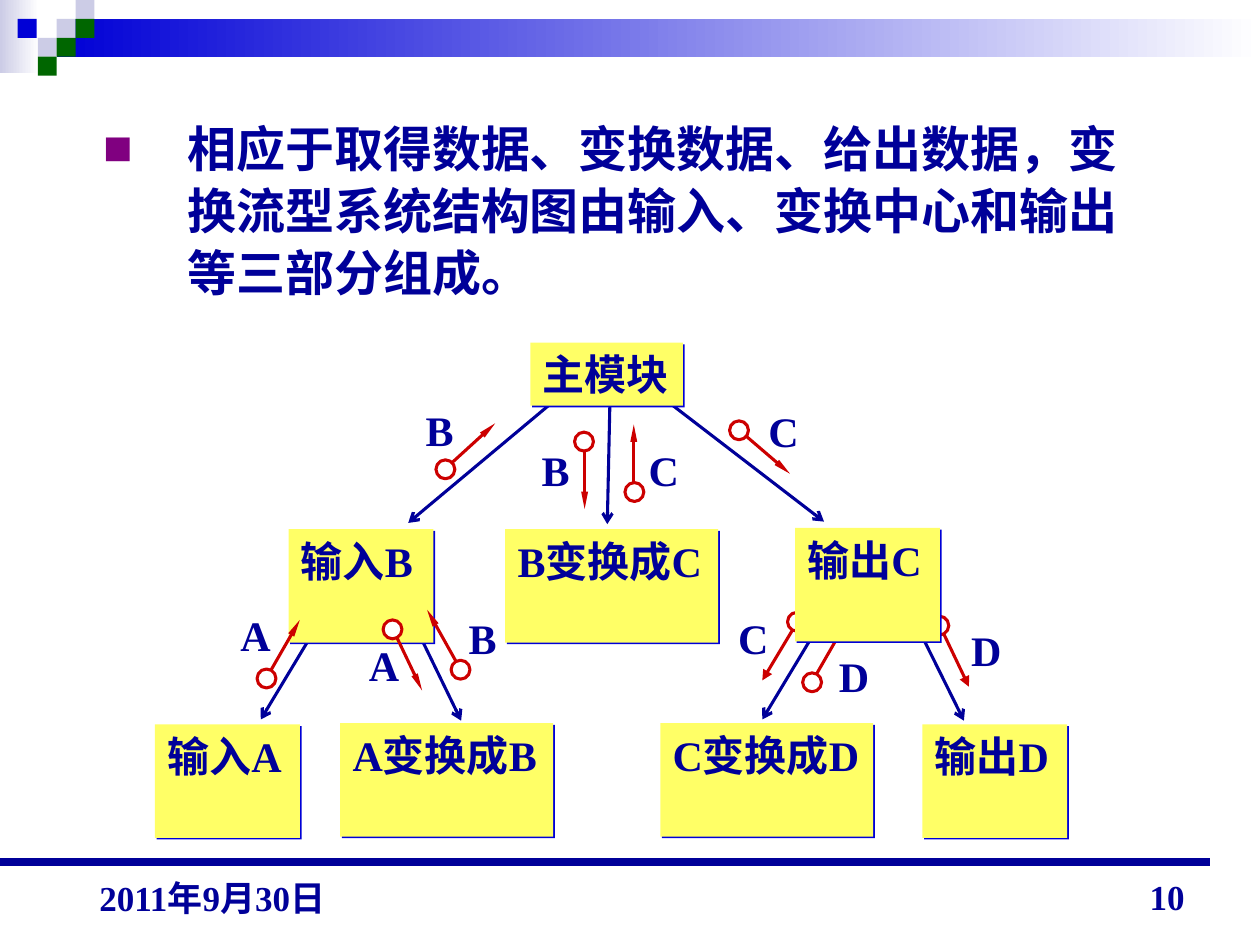
import pptx
import pptx.util
import pptx.dml.color
import pptx.enum.shapes
import pptx.enum.text
from lxml import etree

RGB = pptx.dml.color.RGBColor
NAVY = RGB(0x00, 0x00, 0x99)
BLUE = RGB(0x00, 0x00, 0xD6)
PALE = RGB(0xCC, 0xCC, 0xE6)
GREEN = RGB(0x00, 0x66, 0x00)
RED = RGB(0xCC, 0x00, 0x00)
YELLOW = RGB(0xFF, 0xFF, 0x66)
WHITE = RGB(0xFF, 0xFF, 0xFF)
FONT = "Times New Roman"
PX = 9144  # 100 px to the inch
RECT = pptx.enum.shapes.MSO_SHAPE.RECTANGLE
OVAL = pptx.enum.shapes.MSO_SHAPE.OVAL
ALIGN = pptx.enum.text.PP_ALIGN
BOTTOM = pptx.enum.text.MSO_ANCHOR.BOTTOM
tag = pptx.oxml.ns.qn

deck = pptx.Presentation()
deck.slide_width, deck.slide_height = 1000 * PX, 750 * PX
slide = deck.slides.add_slide(deck.slide_layouts[6])
shapes = slide.shapes


def write(shape, text, size, wrap=True, align=ALIGN.LEFT):
    frame = shape.text_frame
    frame.word_wrap = wrap
    para = frame.paragraphs[0]
    para.alignment = align
    run = para.add_run()
    run.text = text
    font = run.font
    font.name, font.size, font.bold = FONT, pptx.util.Pt(size), True
    font.color.rgb = NAVY
    return para


def link(x1, y1, x2, y2, color, width, head=None):
    line = shapes.add_connector(pptx.enum.shapes.MSO_CONNECTOR.STRAIGHT,
                                x1 * PX, y1 * PX, x2 * PX, y2 * PX)
    line.line.color.rgb = color
    line.line.width = pptx.util.Pt(width)
    if head:
        kind, wide, long = head
        etree.SubElement(line.line._get_or_add_ln(), tag("a:tailEnd"),
                         type=kind, w=wide, len=long)
    etree.SubElement(line._element.spPr, tag("a:effectLst"))


# Header bands, then the small squares
for x, y, w, h, left, right in [(0, 0, 31, 58, PALE, WHITE),
                                (45, 15, 955, 30, BLUE, WHITE)]:
    band = shapes.add_shape(RECT, x * PX, y * PX, w * PX, h * PX)
    band.shadow.inherit = False
    band.line.fill.background()
    band.fill.gradient()
    band.fill.gradient_angle = 0
    for stop, color, spot in zip(band.fill.gradient_stops, (left, right), (0, 1)):
        stop.color.rgb, stop.position = color, spot

for x, y, color in [(45, 15, PALE), (60, 0, PALE), (60, 15, GREEN), (30, 30, PALE),
                    (14, 15, BLUE), (45, 30, GREEN), (30, 45, GREEN)]:
    tile = shapes.add_shape(RECT, x * PX, y * PX, 15 * PX, 15 * PX)
    tile.shadow.inherit = False
    tile.fill.solid()
    tile.fill.fore_color.rgb = color
    tile.line.fill.background()

# Footer rule
link(0, 684, 960, 684, NAVY, 4.5)

# Bullet text
body = shapes.add_textbox(72 * PX, 87 * PX, 850 * PX, 162 * PX)
para = write(body, "相应于取得数据、变换数据、给出数据，变换流型系统结构图由输入、变换中心和输出等三部分组成。", 28)
para.line_spacing = 1.05
props = para._p.get_or_add_pPr()
props.set("marL", str(67 * PX))
props.set("indent", str(-67 * PX))
tint = etree.SubElement(props, tag("a:buClr"))
etree.SubElement(tint, tag("a:srgbClr"), val="800080")
etree.SubElement(props, tag("a:buFont"), typeface=FONT)
etree.SubElement(props, tag("a:buChar"), char="■")

# Calls between modules
for ends in [(667, 468, 605, 571), (713, 467, 765, 572), (484, 323, 482, 416),
             (440, 318, 324, 415), (529, 318, 654, 414), (269, 468, 207, 571),
             (315, 467, 366, 572)]:
    link(*ends, NAVY, 1.75, ("arrow", "med", "med"))

# Data flows: the first group lies behind the modules, the second in front
SLIM = ("triangle", "sm", "lg")
WIDE = ("triangle", "med", "med")
back = [(648, 535, 671, 495, WIDE), (749, 503, 769, 545, WIDE), (629, 500, 605, 540, WIDE)]
front = [(464, 358, 464, 404, SLIM), (503, 383, 503, 337, SLIM), (359, 367, 393, 336, SLIM),
         (592, 346, 627, 376, SLIM), (215, 532, 238, 492, SLIM), (315, 506, 335, 548, SLIM),
         (362, 525, 339, 484, SLIM)]
mods = [("主模块", 421, 272, 121, 50), ("B变换成C", 401, 420, 169, 90),
        ("输入B", 229, 420, 115, 90), ("输出C", 631, 419, 115, 90),
        ("A变换成B", 270, 574, 169, 90), ("输入A", 123, 575, 115, 90),
        ("C变换成D", 524, 574, 169, 90), ("输出D", 732, 575, 115, 90)]
for flows, boxes in [(back, mods), (front, [])]:
    for x1, y1, x2, y2, head in flows:
        link(x1, y1, x2, y2, RED, 1.75, head)
        # The ring touches the start of its arrow
        size = ((x2 - x1) ** 2 + (y2 - y1) ** 2) ** 0.5
        x = x1 - 7.5 * (x2 - x1) / size - 7.5
        y = y1 - 7.5 * (y2 - y1) / size - 7.5
        ring = shapes.add_shape(OVAL, round(x) * PX, round(y) * PX, 15 * PX, 15 * PX)
        ring.shadow.inherit = False
        ring.fill.solid()
        ring.fill.fore_color.rgb = WHITE
        ring.line.color.rgb = RED
        ring.line.width = pptx.util.Pt(1.75)
    for text, x, y, w, h in boxes:
        box = shapes.add_shape(RECT, x * PX, y * PX, w * PX, h * PX)
        box.fill.solid()
        box.fill.fore_color.rgb = YELLOW
        box.line.fill.background()
        box.shadow.inherit = False
        glow = etree.SubElement(box._element.spPr.find(tag("a:effectLst")),
                                tag("a:outerShdw"), dist="17780", dir="2700000",
                                algn="ctr", rotWithShape="0")
        etree.SubElement(glow, tag("a:srgbClr"), val=str(BLUE))
        box.text_frame.vertical_anchor = pptx.enum.text.MSO_ANCHOR.TOP
        write(box, text, 24)

# Flow labels
for text, x, y in [("A", 181, 479), ("A", 283, 503), ("B", 362, 481), ("B", 328, 316),
                   ("B", 420, 348), ("C", 505, 348), ("C", 600, 317), ("C", 576, 481),
                   ("D", 656, 511), ("D", 761, 491)]:
    width = 42 if text == "B" else 44
    write(shapes.add_textbox(x * PX, y * PX, width * PX, 50 * PX), text, 24, False)

# Page number and date
for text, x, y, h, align in [("10", 717, 683, 50, ALIGN.RIGHT),
                             ("2011年9月30日", 69, 682, 52, ALIGN.LEFT)]:
    foot = shapes.add_textbox(x * PX, y * PX, 233 * PX, h * PX)
    foot.text_frame.vertical_anchor = BOTTOM
    write(foot, text, 20, True, align)

deck.save("out.pptx")
